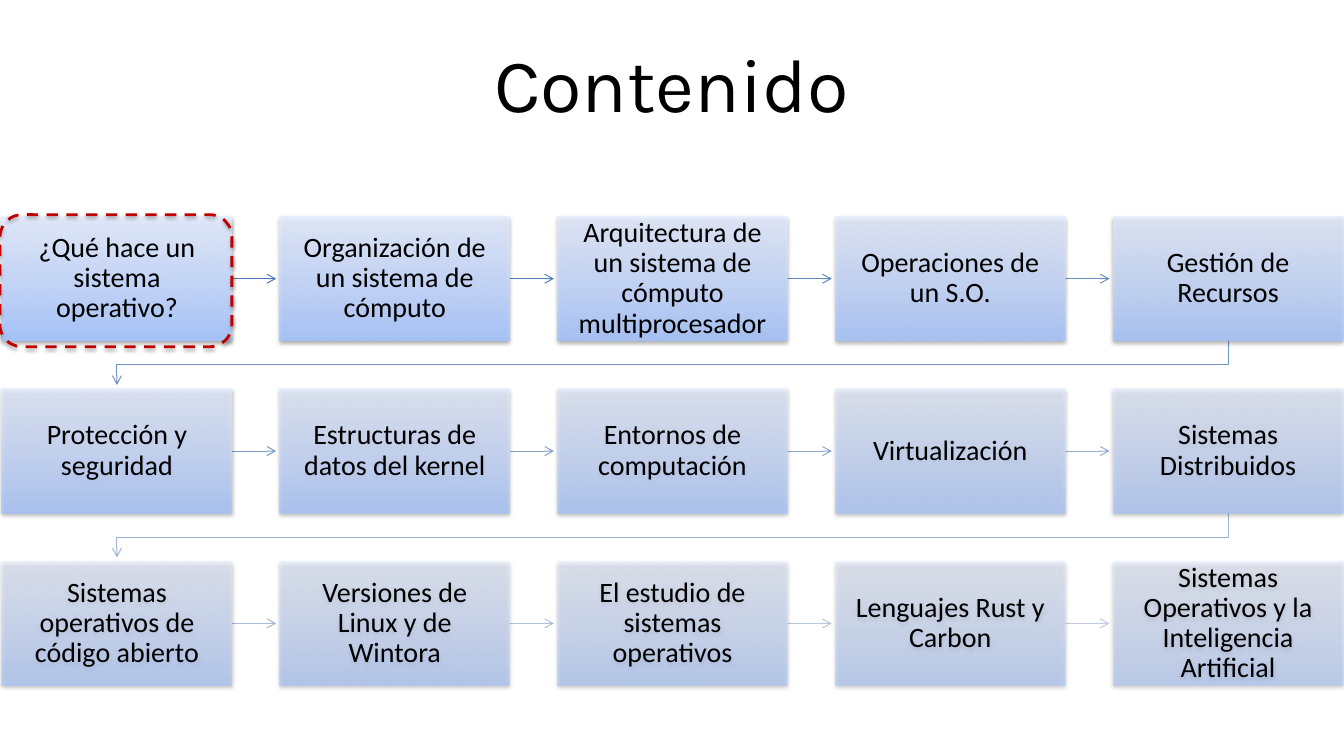
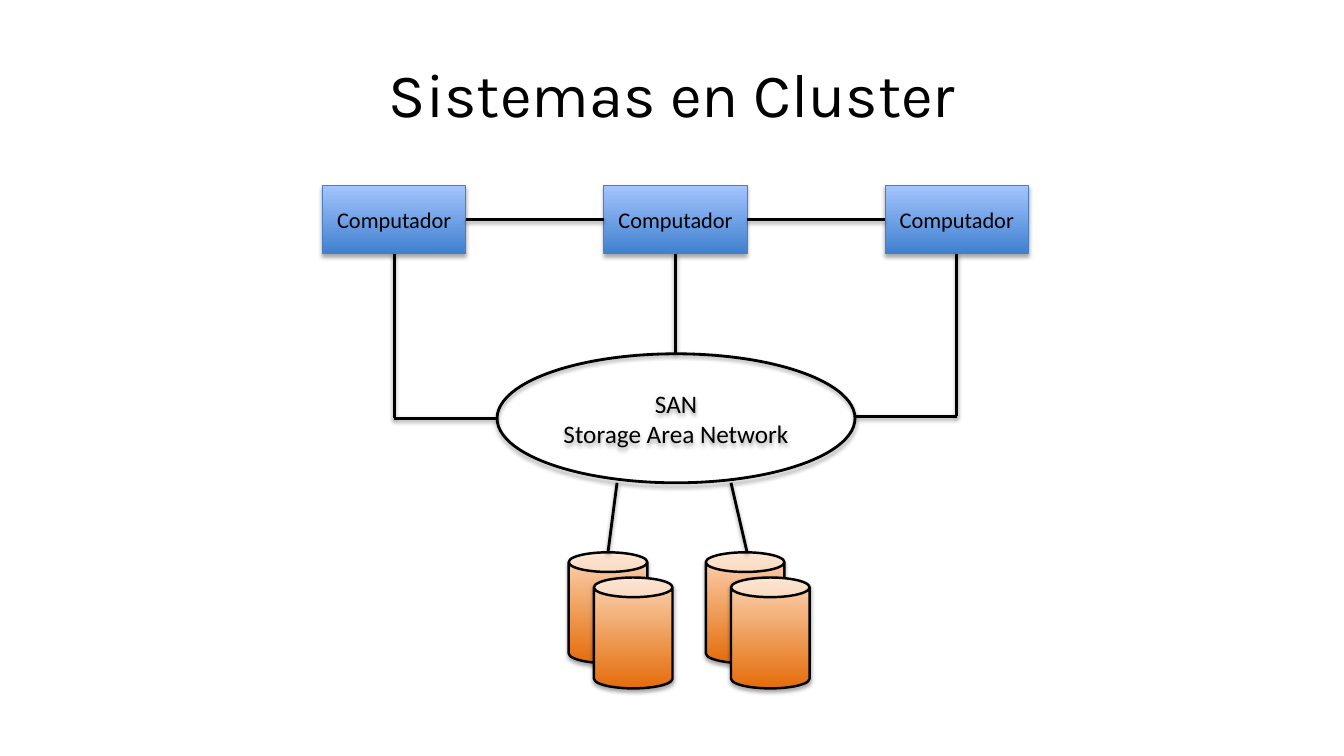
from lxml import etree
from pptx import Presentation
from pptx.dml.color import RGBColor
from pptx.enum.dml import MSO_LINE
from pptx.enum.shapes import MSO_CONNECTOR, MSO_SHAPE
from pptx.enum.text import MSO_ANCHOR, PP_ALIGN
from pptx.oxml.ns import qn
from pptx.util import Inches, Pt

RECT, ROUNDED = MSO_SHAPE.RECTANGLE, MSO_SHAPE.ROUNDED_RECTANGLE
OVAL, CAN = MSO_SHAPE.OVAL, MSO_SHAPE.CAN
STRAIGHT, DASH = MSO_CONNECTOR.STRAIGHT, MSO_LINE.DASH
CENTER, MIDDLE = PP_ALIGN.CENTER, MSO_ANCHOR.MIDDLE

COLORS = {
    "black": "000000",
    "highlight": "C00000",
    "box_edge": "4B7EBC",
    "arrow_first": "4B7BB5",
    "arrow_last": "C2CDE1",
}
GRADIENTS = {
    "topic": [(0, "A4C4FF"), (35, "BFD4FF"), (100, "E6EEFF")],
    "computer": [(0, "3F80CE"), (100, "A4C4FF")],
    "disk": [(0, "E46C0A"), (100, "FCD5B5")],
}
SOFT_SHADOW = {"opacity": 38, "distance": 1.6}
FIRM_SHADOW = {"opacity": 35, "distance": 1.8}
TITLE_FONT, BODY_FONT = "Karla", "Calibri"

TOPICS = [
    ["¿Qué hace un sistema operativo?", "Organización de un sistema de cómputo",
     "Arquitectura de un sistema de cómputo multiprocesador",
     "Operaciones de un S.O.", "Gestión de Recursos"],
    ["Protección y seguridad", "Estructuras de datos del kernel",
     "Entornos de computación", "Virtualización", "Sistemas Distribuidos"],
    ["Sistemas operativos de código abierto", "Versiones de Linux y de Wintora",
     "El estudio de sistemas operativos", "Lenguajes Rust y Carbon",
     "Sistemas Operativos y la Inteligencia Artificial"],
]


def add_color(parent, color, opacity):
    node = etree.SubElement(parent, qn("a:srgbClr"), val=color)
    if opacity < 100:
        etree.SubElement(node, qn("a:alpha"), val=str(round(opacity * 1000)))


def blend(start, end, share):
    first, last = bytes.fromhex(start), bytes.fromhex(end)
    return "".join(f"{round(a + (b - a) * share):02X}" for a, b in zip(first, last))


class SlideBuilder:
    """Holds the deck, its style and the current page."""

    def __init__(self):
        self.deck = Presentation()
        self.deck.slide_width = Inches(13.33)
        self.deck.slide_height = Inches(7.5)
        self.page = None

    def new_page(self, text, area, size):
        self.page = self.deck.slides.add_slide(self.deck.slide_layouts[5])
        title = self.page.shapes.title
        title.left, title.top, title.width, title.height = map(Inches, area)
        self.label(title, text, size, TITLE_FONT)

    def label(self, shape, text, size, font=BODY_FONT, spacing=None, inset=0.1):
        frame = shape.text_frame
        frame.text = text
        frame.word_wrap = True
        frame.vertical_anchor = MIDDLE
        frame.margin_left = frame.margin_right = Inches(inset)
        for para in frame.paragraphs:
            para.alignment = CENTER
            para.line_spacing = spacing
            for span in para.runs:
                span.font.name = font
                span.font.size = Pt(size)
                span.font.color.rgb = RGBColor.from_string(COLORS["black"])

    def shape(self, kind, area, shadow, gradient=None, opacity=100, edge=None, width=2):
        shape = self.page.shapes.add_shape(kind, *map(Inches, area))
        if gradient:
            self.shade(shape, GRADIENTS[gradient], opacity)
        else:
            shape.fill.background()
        if edge:
            self.stroke(shape, COLORS[edge], width)
        else:
            shape.line.fill.background()
        shape.shadow.inherit = False
        self.cast(shape, shadow)
        return shape

    def shade(self, shape, stops, opacity):
        shape.fill.gradient()
        gradient = shape._element.spPr.find(qn("a:gradFill"))
        gradient.clear()
        gradient.set("rotWithShape", "1")
        stop_list = etree.SubElement(gradient, qn("a:gsLst"))
        for position, color in stops:
            stop = etree.SubElement(stop_list, qn("a:gs"), pos=str(position * 1000))
            add_color(stop, color, opacity)
        etree.SubElement(gradient, qn("a:lin"), ang="16200000", scaled="0")

    def stroke(self, shape, color, width, arrow=False):
        shape.line.color.rgb = RGBColor.from_string(color)
        shape.line.width = Pt(width)
        if arrow:
            outline = shape._element.spPr.find(qn("a:ln"))
            etree.SubElement(outline, qn("a:tailEnd"), type="arrow")

    def cast(self, shape, shadow):
        effects = shape._element.spPr.find(qn("a:effectLst"))
        node = etree.SubElement(
            effects, qn("a:outerShdw"), blurRad=str(Pt(3.1)),
            dist=str(Pt(shadow["distance"])), dir="5400000", rotWithShape="0")
        add_color(node, COLORS["black"], shadow["opacity"])

    def line(self, start, end, color=COLORS["black"], width=2, arrow=False, shadow=None):
        line = self.page.shapes.add_connector(STRAIGHT, *map(Inches, (*start, *end)))
        self.stroke(line, color, width, arrow)
        etree.SubElement(line._element.spPr, qn("a:effectLst"))
        if shadow:
            self.cast(line, shadow)

    def bent_arrow(self, points, color, width):
        corners = [(Inches(x), Inches(y)) for x, y in points]
        builder = self.page.shapes.build_freeform(*corners[0])
        builder.add_line_segments(corners[1:], close=False)
        arrow = builder.convert_to_shape()
        arrow.fill.background()
        self.stroke(arrow, color, width, arrow=True)
        arrow.shadow.inherit = False


def build_contents(builder):
    builder.new_page("Contenido", (0.91, 0.09, 11.5, 1.45), 54)
    left, top, width, height = 0.02, 2.15, 2.28, 1.23
    columns, total = len(TOPICS[0]), sum(map(len, TOPICS))
    column_step, row_step = (11.04 - left) / (columns - 1), 1.71
    for index in range(total):
        row, column = divmod(index, columns)
        x, y = left + column * column_step, top + row * row_step
        color = blend(COLORS["arrow_first"], COLORS["arrow_last"], index / (total - 2))
        if column < columns - 1:
            middle = y + height / 2
            builder.line((x + width, middle), (x + width + 0.44, middle),
                         color, 0.75, arrow=True)
        elif index < total - 1:
            start, end = x + width / 2, left + width / 2
            bend = y + 1.47
            builder.bent_arrow([(start, y + height), (start, bend), (end, bend),
                                (end, bend + 0.2)], color, 0.75)
        box = builder.shape(RECT, (x, y, width, height), SOFT_SHADOW, "topic",
                            90 - 40 * index / (total - 1))
        builder.label(box, TOPICS[row][column], 20, spacing=0.9, inset=0.16)
    frame = builder.shape(ROUNDED, (0, 2.13, 2.3, 1.31), FIRM_SHADOW, edge="highlight")
    frame.line.dash_style = DASH


def build_cluster(builder):
    builder.new_page("Sistemas en Cluster", (0.67, 0.3, 12, 1.25), 44)
    top, width, height = 1.84, 1.42, 0.68
    lefts = [3.2 + 2.79 * index for index in range(3)]
    for left in lefts:
        box = builder.shape(RECT, (left, top, width, height), FIRM_SHADOW,
                            "computer", edge="box_edge", width=0.75)
        builder.label(box, "Computador", 16)
    for group_left in (5.64, 7):
        for offset in (0, 0.25):
            builder.shape(CAN, (group_left + offset, 5.48 + offset, 0.78, 1.1),
                          FIRM_SHADOW, "disk", edge="black", width=1.75)
    network = builder.shape(OVAL, (4.93, 3.51, 3.55, 1.28), FIRM_SHADOW, edge="black")
    builder.label(network, "SAN\nStorage Area Network", 18)

    middle, bottom = top + height / 2, top + height
    first, second, third = [left + width / 2 for left in lefts]
    links = [((left + width, middle), (following, middle))
             for left, following in zip(lefts, lefts[1:])]
    links += [
        ((first, bottom), (first, 4.15)),
        ((third, bottom), (third, 4.13)),
        ((second, bottom), (second, 3.51)),
        ((4.93, 4.15), (first, 4.15)),
        ((third, 4.13), (8.48, 4.13)),
        ((6.12, 4.79), (6.03, 5.48)),
        ((7.25, 4.79), (7.41, 5.48)),
    ]
    for start, end in links:
        builder.line(start, end, shadow=SOFT_SHADOW)


def main():
    builder = SlideBuilder()
    build_contents(builder)
    build_cluster(builder)
    builder.deck.save("out.pptx")


if __name__ == "__main__":
    main()
